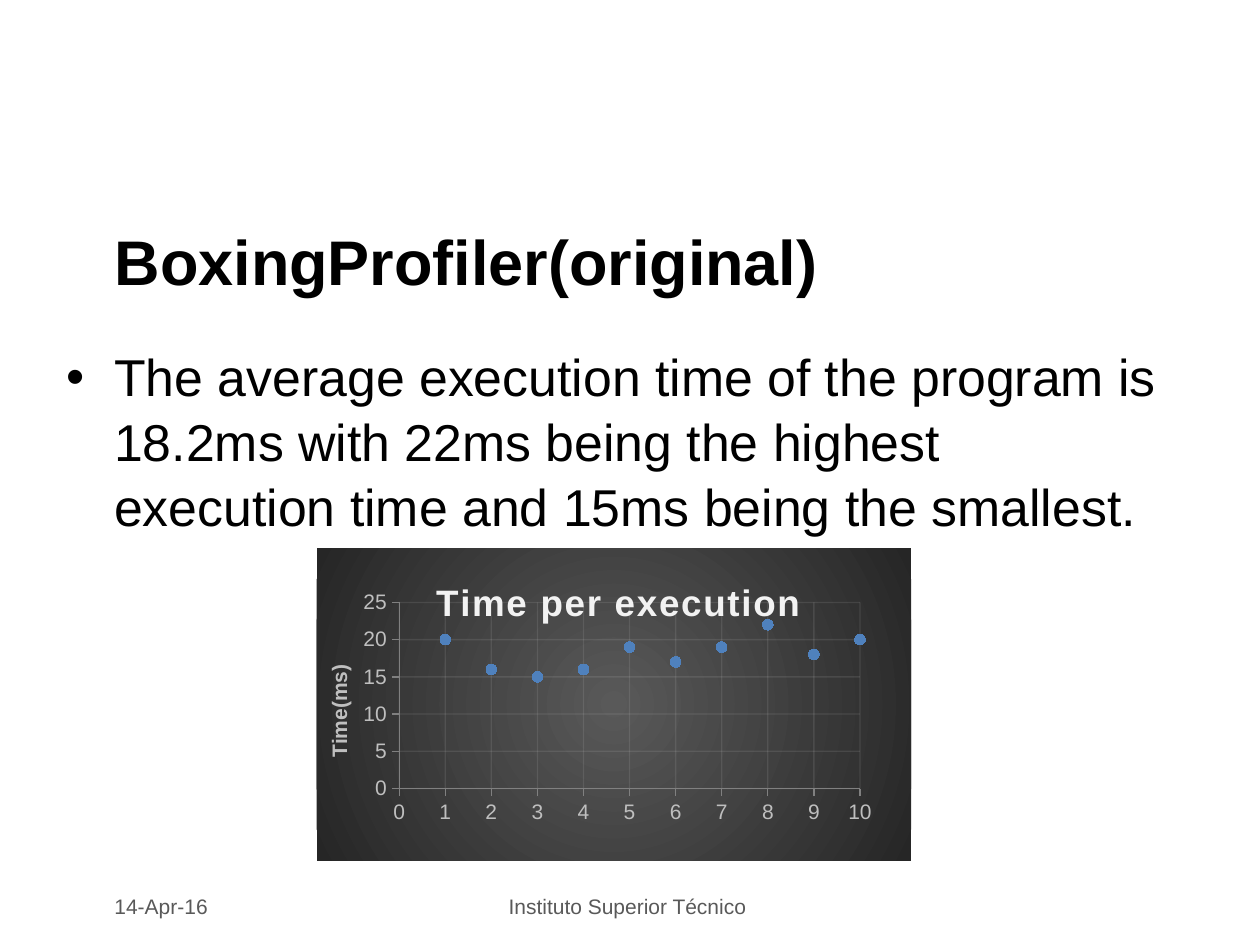
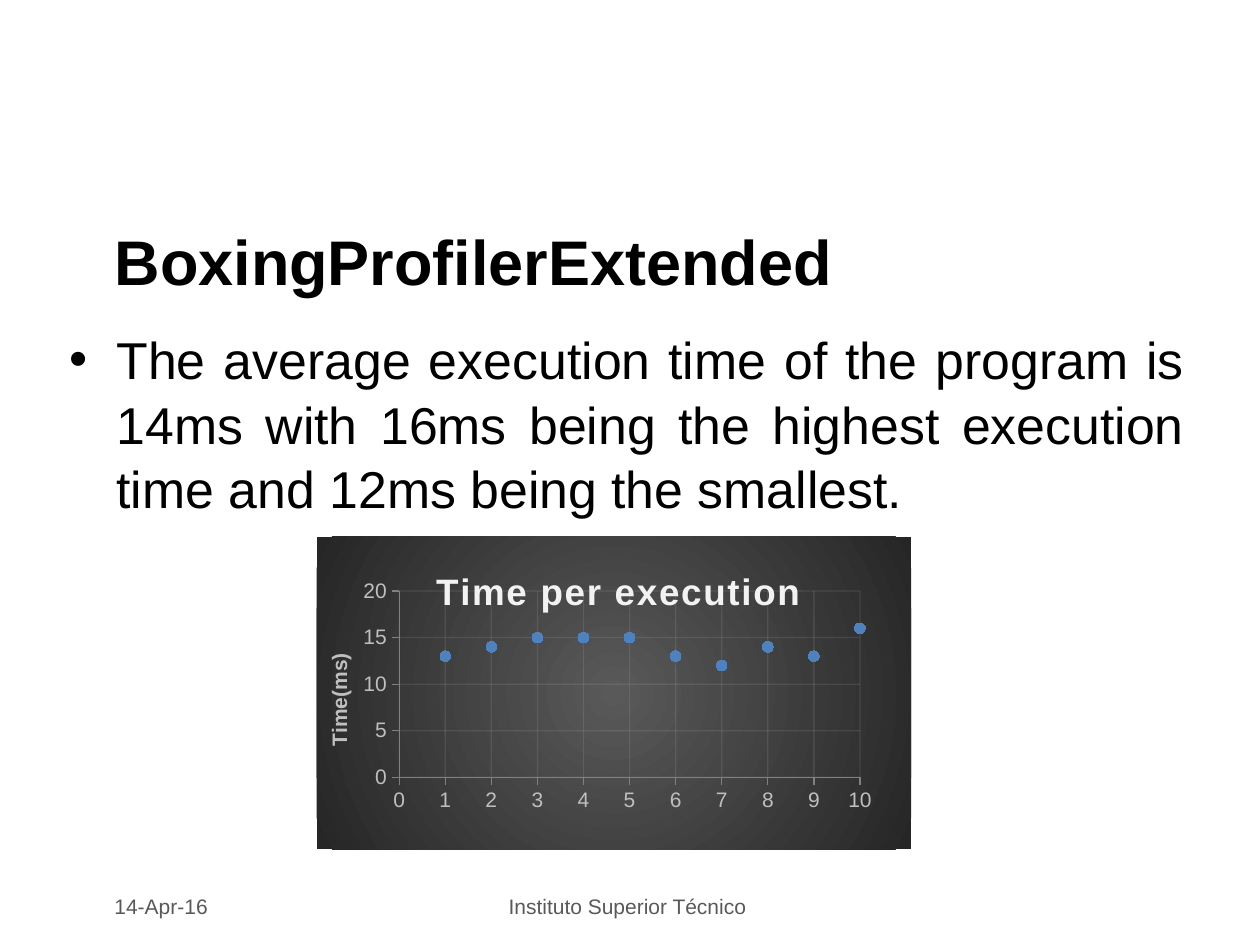
import pptx
import pptx.chart.data
import pptx.dml.color
import pptx.enum.chart
import pptx.enum.text
import pptx.oxml
import pptx.oxml.ns
import pptx.util

Pt = pptx.util.Pt
qn = pptx.oxml.ns.qn
ns = pptx.oxml.ns.nsdecls
Align = pptx.enum.text.PP_ALIGN
Anchor = pptx.enum.text.MSO_ANCHOR


class Theme:
    font = "Arial"
    ink, grey = "000000", "595959"
    white, label, axis, grid = "F2F2F2", "BFBFBF", "808080", "F2F2F2"
    glow, edge, dot = "595959", "262626", "4F81BD"
    head, body, small, chart = 36, 29.6, 12, 21


def style(font, size, color, bold=False):
    font.name, font.size, font.bold = Theme.font, Pt(size), bold
    font.color.rgb = pptx.dml.color.RGBColor.from_string(color)


def place(part, index, x, y, size=None):
    """Give a chart part a fixed place, in fractions of the chart."""
    old = part.find(qn("c:layout"))
    if old is not None:
        part.remove(old)
    vals = [("xMode", "edge"), ("yMode", "edge"), ("x", x), ("y", y)]
    if size:
        vals.insert(0, ("layoutTarget", "inner"))
        vals += [("w", size[0]), ("h", size[1])]
    inner = "".join(f'<c:{tag} val="{val}"/>' for tag, val in vals)
    part.insert(index, pptx.oxml.parse_xml(
        f'<c:layout {ns("c")}><c:manualLayout>{inner}</c:manualLayout></c:layout>'))


# Slide contents: title, text, text box, alignment, chart top, times, axis top
pages = [
    ("BoxingProfiler(original)",
     "The average execution time of the program is 18.2ms with 22ms being "
     "the highest execution time and 15ms being the smallest.",
     (31, 192.2, 645.8, 108), Align.LEFT, 313.2,
     [20, 16, 15, 16, 19, 17, 19, 22, 18, 20], 25),
    ("BoxingProfilerExtended",
     "The average execution time of the program is 14ms with 16ms being "
     "the highest execution time and 12ms being the smallest.",
     (32.4, 182.2, 652.3, 138.2), Align.JUSTIFY, 306.7,
     [13, 14, 15, 15, 15, 13, 12, 14, 13, 16], 20),
]
# Footers: text, left, width, alignment
feet = [
    ("14-Apr-16", 58.3, 145.4, Align.LEFT),
    ("Instituto Superior Técnico ", 246.2, 228.2, Align.CENTER),
]

deck = pptx.Presentation()
deck.slide_width, deck.slide_height = Pt(720), Pt(540)

for title, text, box, align, top, times, peak in pages:
    slide = deck.slides.add_slide(deck.slide_layouts[1])

    # Title and body
    head, body = slide.shapes.title, slide.placeholders[1]
    for shape, words, spot, size, side, anchor in (
            (head, title, (58.3, 114.5, 602.6, 68.4), Theme.head,
             Align.LEFT, Anchor.MIDDLE),
            (body, text, box, Theme.body, align, Anchor.TOP)):
        shape.left, shape.top, shape.width, shape.height = map(Pt, spot)
        frame = shape.text_frame
        frame.text = words
        frame.auto_size = pptx.enum.text.MSO_AUTO_SIZE.NONE
        frame.vertical_anchor = anchor
        para = frame.paragraphs[0]
        para.alignment = side
        style(para.runs[0].font, size, Theme.ink, shape is head)
    para.line_spacing, para.space_before = 1.04, Pt(3)

    # Scatter chart
    data = pptx.chart.data.XyChartData()
    points = data.add_series("Series 1")
    for num, time in enumerate(times, 1):
        points.add_data_point(num, time)
    chart = slide.shapes.add_chart(
        pptx.enum.chart.XL_CHART_TYPE.XY_SCATTER,
        Pt(180.9), Pt(top), Pt(339.8), Pt(178.6), data).chart
    chart.has_legend = False
    style(chart.font, 10, Theme.ink)
    plot = chart.plots[0]
    plot.vary_by_categories = False
    row = plot.series[0]
    row.format.line.fill.background()
    row.marker.style = pptx.enum.chart.XL_MARKER_STYLE.CIRCLE
    row.marker.size = 6
    row.marker.format.fill.solid()
    row.marker.format.fill.fore_color.rgb = (
        pptx.dml.color.RGBColor.from_string(Theme.dot))
    row.marker.format.line.fill.background()

    # Axes and grid
    for axis, high, step in ((chart.category_axis, 10, 1),
                             (chart.value_axis, peak, 5)):
        axis.minimum_scale, axis.maximum_scale = 0, high
        axis.major_unit = step
        axis.major_tick_mark = pptx.enum.chart.XL_TICK_MARK.OUTSIDE
        axis.minor_tick_mark = pptx.enum.chart.XL_TICK_MARK.NONE
        axis.has_major_gridlines = True
        style(axis.tick_labels.font, Theme.small, Theme.label)
        for line, color in ((axis.format.line, Theme.axis),
                            (axis.major_gridlines.format.line, Theme.grid)):
            line.width = Pt(0.75)
            line.color.rgb = pptx.dml.color.RGBColor.from_string(color)
    for grid in chart.element.iter(qn("c:majorGridlines")):
        for color in grid.iter(qn("a:srgbClr")):
            color.append(pptx.oxml.parse_xml(
                f'<a:alpha {ns("a")} val="10000"/>'))

    # Chart and axis titles
    chart.has_title = True
    for name, words, size, color, x, y in (
            (chart.chart_title, "Time per execution", Theme.chart,
             Theme.white, 0.19, 0.08),
            (chart.value_axis.axis_title, "Time(ms)", Theme.small,
             Theme.label, 0.01, 0.36)):
        name.text_frame.text = words
        run = name.text_frame.paragraphs[0].runs[0]
        style(run.font, size, color, True)
        place(name.element, 1, x, y)
        if size == Theme.chart:
            run._r.get_or_add_rPr().set("spc", "100")
        else:
            for prop in name.element.iter(qn("a:bodyPr")):
                prop.set("rot", "-5400000")
                prop.set("vert", "horz")
    place(next(chart.element.iter(qn("c:plotArea"))), 0,
          0.139, 0.174, (0.775, 0.596))

    # Dark radial background
    chart.element.find(qn("c:txPr")).addprevious(pptx.oxml.parse_xml(
        f'<c:spPr {ns("c", "a")}><a:gradFill><a:gsLst>'
        f'<a:gs pos="0"><a:srgbClr val="{Theme.glow}"/></a:gs>'
        f'<a:gs pos="100000"><a:srgbClr val="{Theme.edge}"/></a:gs>'
        '</a:gsLst><a:path path="circle"><a:fillToRect l="50000" t="50000" '
        'r="50000" b="50000"/></a:path></a:gradFill>'
        '<a:ln><a:noFill/></a:ln></c:spPr>'))

    # Footers
    for words, left, width, side in feet:
        frame = slide.shapes.add_textbox(
            Pt(left), Pt(505.4), Pt(width), Pt(24.5)).text_frame
        frame.word_wrap = True
        frame.vertical_anchor = Anchor.MIDDLE
        frame.text = words
        para = frame.paragraphs[0]
        para.alignment = side
        style(para.runs[0].font, Theme.small, Theme.grey)

deck.save("out.pptx")
